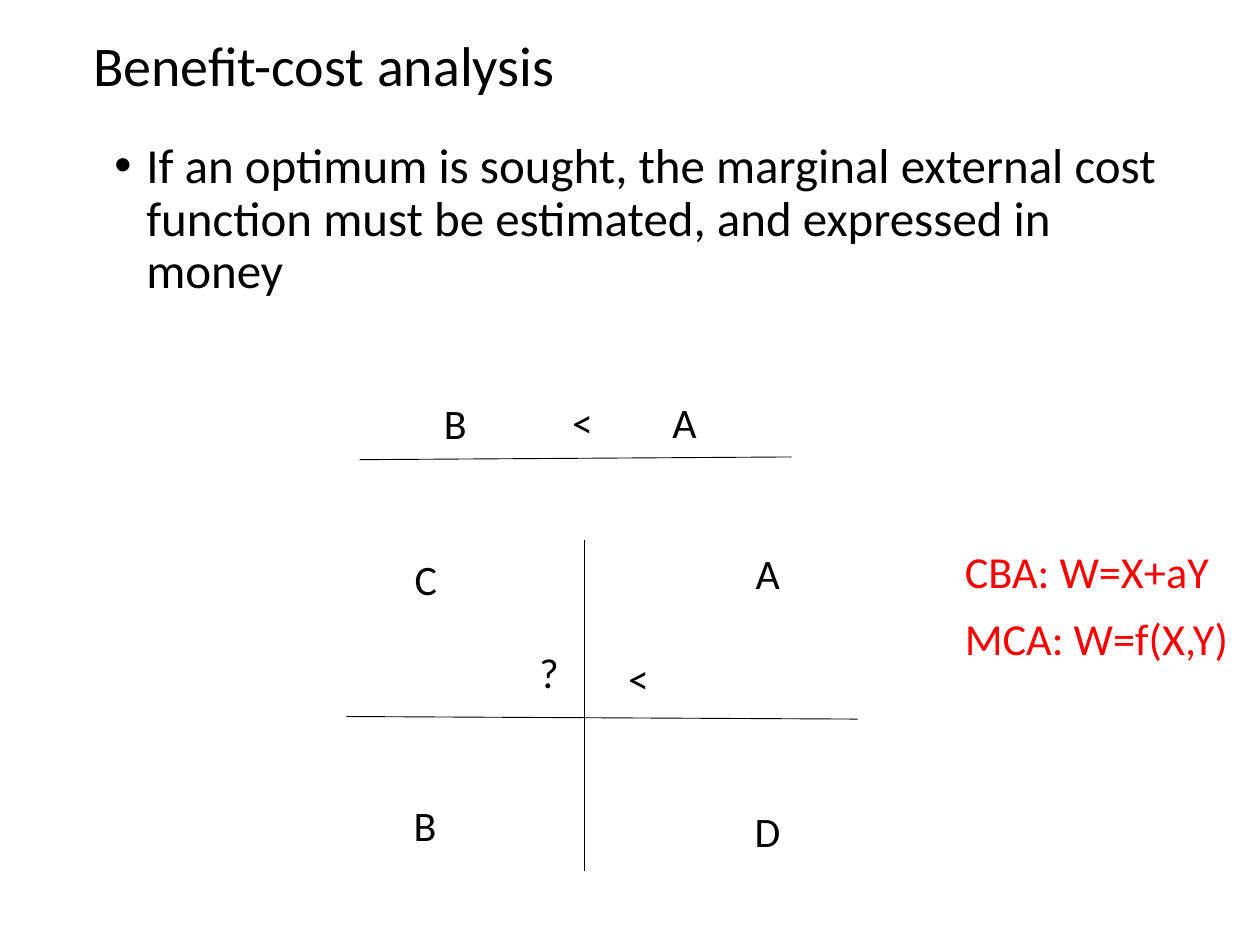
from lxml.etree import SubElement
from pptx import Presentation
from pptx.dml.color import RGBColor
from pptx.enum.shapes import MSO_CONNECTOR as Connector
from pptx.enum.text import MSO_ANCHOR as Anchor, MSO_AUTO_SIZE as AutoSize, PP_ALIGN as Align
from pptx.oxml.ns import qn
from pptx.util import Pt

COLOURS = {"ink": "000000", "formula": "FF0000"}
TITLE_SIZE, BODY_SIZE, LABEL_SIZE, FORMULA_SIZE = 45.5, 39.8, 34.1, 36
LABEL_HEIGHT, FORMULA_HEIGHT = 49, 51.1

AXES = [
    (292.3, 373.7, 643, 371.5),
    (281.5, 582.5, 697, 584.6),
    (475.2, 439.2, 475.2, 708.5),
]
LABELS = [
    ("A", 539.3, 319, 36),
    ("<", 457.9, 319, 31.7),
    ("B", 353.5, 319.7, 34.6),
    ("A", 607, 441.4, 36),
    ("B", 329, 646.6, 34.6),
    ("C", 329.8, 446.4, 33.1),
    ("D", 606.2, 651.6, 36.7),
    ("<", 503.3, 527, 31.7),
    ("?", 431.3, 522, 26.6),
]
FORMULAS = [("CBA: W=X+aY", 439.2, 234), ("MCA: W=f(X,Y)", 493.2, 247.7)]


class Painter:
    """Draws styled elements on one slide, measured in points."""

    font = "Calibri"

    def __init__(self, page):
        self.page = page

    def add_span(self, para, text, size, colour="ink"):
        span = para.add_run()
        span.text = text
        span.font.name = self.font
        span.font.size = Pt(size)
        span.font.color.rgb = RGBColor.from_string(COLOURS[colour])

    def place(self, holder, left, top, width, height, anchor):
        holder.left, holder.top = Pt(left), Pt(top)
        holder.width, holder.height = Pt(width), Pt(height)
        frame = holder.text_frame
        frame.auto_size = AutoSize.NONE
        frame.vertical_anchor = anchor
        para = frame.paragraphs[0]
        para.alignment = Align.LEFT
        para.line_spacing = 0.9
        para.space_before = Pt(0)
        return para

    def title(self, text, *area):
        para = self.place(self.page.shapes.title, *area, Anchor.MIDDLE)
        self.add_span(para, text, TITLE_SIZE)

    def bullet(self, text, *area):
        para = self.place(self.page.placeholders[1], *area, Anchor.TOP)
        props = para._p.get_or_add_pPr()
        props.set("marL", str(Pt(26)))
        props.set("indent", str(Pt(-26)))
        SubElement(props, qn("a:buFont"), typeface="Arial")
        SubElement(props, qn("a:buChar"), char="•")
        self.add_span(para, text, BODY_SIZE)

    def line(self, *ends):
        line = self.page.shapes.add_connector(Connector.STRAIGHT, *map(Pt, ends))
        line.line.width = Pt(0.75)
        line.line.color.rgb = RGBColor.from_string(COLOURS["ink"])
        SubElement(line._element.spPr, qn("a:effectLst"))

    def text(self, text, left, top, width, height, size, colour="ink", wrap=False):
        box = self.page.shapes.add_textbox(Pt(left), Pt(top), Pt(width), Pt(height))
        frame = box.text_frame
        frame.word_wrap = wrap
        frame.auto_size = AutoSize.SHAPE_TO_FIT_TEXT
        self.add_span(frame.paragraphs[0], text, size, colour)


def main():
    deck = Presentation()
    deck.slide_width, deck.slide_height = Pt(1023.84), Pt(768.24)
    painter = Painter(deck.slides.add_slide(deck.slide_layouts[1]))
    painter.title("Benefit-cost analysis", 68.4, 0, 870.5, 110.9)
    painter.bullet(
        "If an optimum is sought, the marginal external cost function "
        "must be estimated, and expressed in money",
        85.7, 110.9, 870.5, 511.9,
    )
    for ends in AXES:
        painter.line(*ends)
    for letter, left, top, width in LABELS:
        painter.text(letter, left, top, width, LABEL_HEIGHT, LABEL_SIZE)
    for formula, top, width in FORMULAS:
        painter.text(formula, 776.9, top, width, FORMULA_HEIGHT, FORMULA_SIZE, "formula", True)
    deck.save("out.pptx")


if __name__ == "__main__":
    main()
